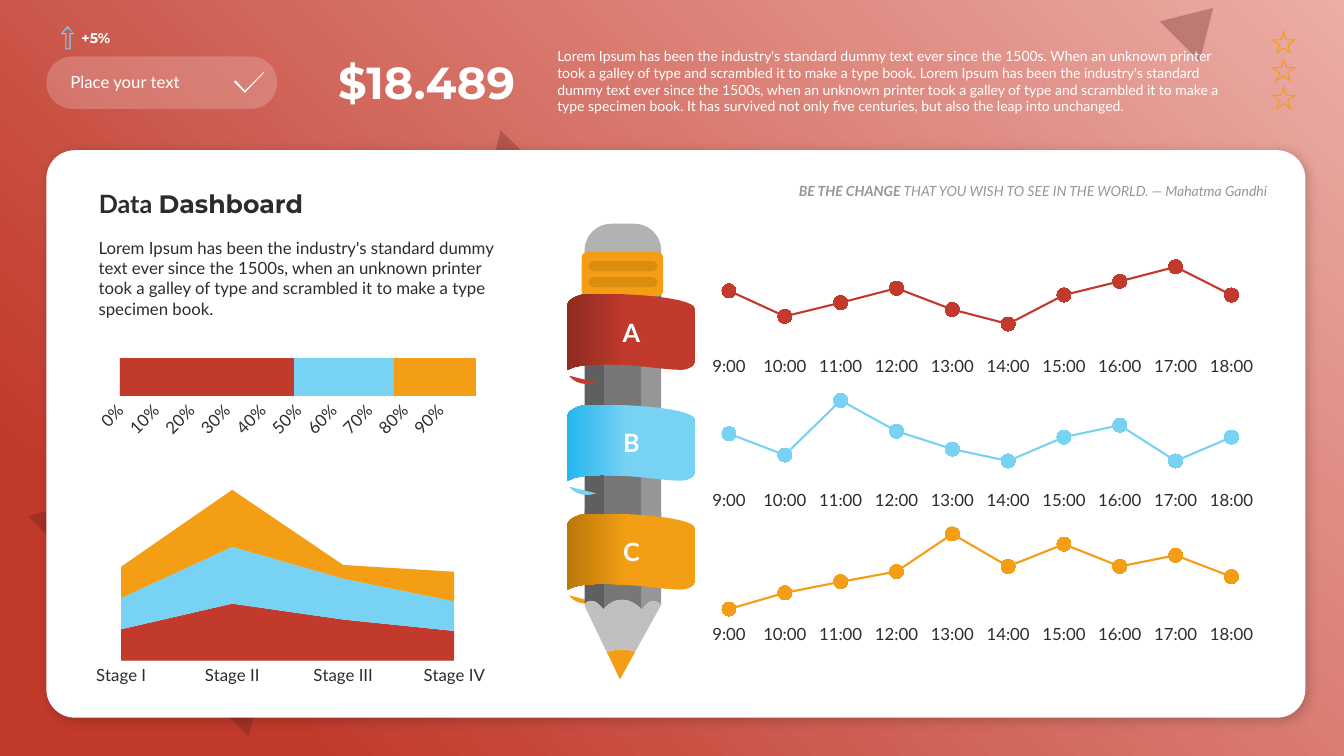
from dataclasses import dataclass
from math import cos, pi, sin
from lxml.etree import SubElement
from pptx import Presentation
from pptx.chart.data import CategoryChartData
from pptx.dml.color import RGBColor
from pptx.enum.chart import XL_CHART_TYPE as CT, XL_MARKER_STYLE as MARKER, XL_TICK_MARK as TICK
from pptx.enum.shapes import MSO_SHAPE as SHAPE
from pptx.enum.text import MSO_ANCHOR as ANCHOR, MSO_AUTO_SIZE as AUTO, PP_ALIGN as ALIGN
from pptx.oxml.ns import qn
from pptx.util import Emu, Pt

COLS, ROWS, CELL = 160, 90, 76200
C = {"red": "C13A2C", "blue": "78D2F4", "orange": "F39E14", "white": "FFFFFF", "black": "000000",
     "ink": "2C2C2C", "blush": "EBADA6", "maroon": "601D16", "brick": "912B21", "azure": "24B6ED",
     "ocean": "0E7EA8", "ochre": "BC780A", "brown": "7D5006", "light": "DFDFDF", "tip": "C0C0C0",
     "eraser": "B2B2B2", "grey": "969696", "mid": "777777", "dark": "5F5F5F"}
TRIO = ("red", "blue", "orange")
RECT, ROUND, TRIANGLE = SHAPE.RECTANGLE, SHAPE.ROUNDED_RECTANGLE, SHAPE.ISOSCELES_TRIANGLE
LOREM = "Lorem Ipsum has been the industry's standard dummy text ever since the 1500s"
GALLEY = "an unknown printer took a galley of type and scrambled it to make a type"
CHECK = [(31.44, 8.52), (29.16, 10.8), (28.08, 9.6), (27.84, 9.72), (29.16, 11.04), (31.44, 8.64)]
ARROW = [(8.04, 3.12), (8.88, 4.08), (8.4, 4.08), (8.4, 5.88), (7.8, 5.88), (7.8, 4.08), (7.2, 4.08)]
ARROW_HOLE = [(8.04, 3.36), (8.76, 3.96), (8.28, 3.96), (8.28, 5.76), (7.92, 5.76), (7.92, 3.96), (7.44, 3.96)]
BAND = [(15.24, 1.8), (15.36, 0.48, 8.04, -0.24, 2.04, 0), (1.08, 0.12, 0, 0.72, 0, 1.32), (0, 9),
        (2.64, 7.44, 10.92, 9, 13.44, 9), (14.4, 9, 15.24, 8.52, 15.24, 7.92)]
PENCIL = {
    "orange": [(75.6, 77.64), (73.8, 80.88), (72.24, 77.64), (72.36, 77.64, 74.04, 76.92, 75.6, 77.64)],
    "grey": [(76.44, 72.6), (76.32, 72.48), (76.32, 60.84), (78.72, 60.84), (78.72, 72),
             (78.72, 72, 77.52, 70.68, 76.44, 72.6)],
    "mid": [(74.04, 71.4), (72.84, 71.4, 72.12, 72.24, 71.88, 72.48), (71.88, 60.84), (76.32, 60.84),
            (76.32, 72.48), (76.08, 72.24, 75.24, 71.4, 74.04, 71.4)],
    "dark": [(71.88, 72.6), (71.88, 72.6, 71.16, 71.52, 70.44, 71.52), (69.96, 71.52, 69.72, 71.76, 69.6, 71.88),
             (69.6, 60.84), (71.88, 60.84)],
    "tip": [(70.44, 71.52), (71.16, 71.52, 71.88, 72.6, 71.88, 72.6), (71.88, 72.48),
            (72.12, 72.24, 72.84, 71.4, 74.04, 71.4), (75.24, 71.4, 76.08, 72.24, 76.32, 72.48), (76.44, 72.6),
            (77.52, 70.68, 78.72, 72, 78.72, 72), (75.6, 77.64), (74.04, 76.92, 72.36, 77.64, 72.24, 77.64),
            (69.6, 72.12), (69.6, 71.88), (69.72, 71.76, 69.96, 71.52, 70.44, 71.52)]}

@dataclass
class Preset:
    kind: SHAPE
    box: tuple
    color: str
    alpha: int = 100
    adj: tuple = ()
    turn: float = 0

@dataclass
class Run:
    text: str
    size: float
    color: str = "white"
    font: str = "Lato"
    bold: bool = False
    italic: bool = False

@dataclass
class Ribbon:
    letter: str
    row: float
    color: str
    shade: str
    curl_shade: str

def rgb(name: str) -> RGBColor:
    return RGBColor.from_string(C[name])

def emu(box: tuple) -> list:
    return [Emu(round(v * CELL)) for v in box]

def paint(sp, color: str):
    sp.shadow.inherit = False
    sp.line.fill.background()
    sp.fill.solid()
    sp.fill.fore_color.rgb = rgb(color)
    return sp

def draw(s, d: Preset):
    sp = paint(s.shapes.add_shape(d.kind, *emu(d.box)), d.color)
    if d.alpha < 100:
        SubElement(sp.element.spPr.find(f".//{qn('a:srgbClr')}"), qn("a:alpha"), {"val": str(d.alpha * 1000)})
    for i, value in enumerate(d.adj):
        sp.adjustments[i] = value
    sp.rotation = d.turn
    return sp

def blend(sp, stops: list, angle: float = 0) -> None:
    sp.fill.gradient()
    sp.fill.gradient_angle = angle
    for stop, (position, color) in zip(sp.fill.gradient_stops, stops):
        stop.position, stop.color.rgb = position, rgb(color)

def flatten(steps: list, dx: float, dy: float) -> list:
    pts = []
    for step in steps:
        p = [pts[-1], step[:2], step[2:4], step[4:]] if len(step) > 2 else [step] * 4
        for t in (i / 12 for i in range(1, 13)) if len(step) > 2 else (1,):
            w = ((1 - t) ** 3, 3 * t * (1 - t) ** 2, 3 * t * t * (1 - t), t ** 3)
            pts.append(tuple(sum(k * q[a] for k, q in zip(w, p)) for a in (0, 1)))
    return [((x + dx) * CELL, (y + dy) * CELL) for x, y in pts]

def outline(s, color: str, *contours: list, dx: float = 0, dy: float = 0):
    first, *holes = [flatten(c, dx, dy) for c in contours]
    fb = s.shapes.build_freeform(*first[0])
    fb.add_line_segments(first[1:], close=True)
    for hole in holes:
        fb.move_to(*hole[0])
        fb.add_line_segments(hole[1:], close=True)
    return paint(fb.convert_to_shape(), color)

def write(tf, runs: list, align=ALIGN.LEFT, anchor=ANCHOR.MIDDLE, side: float = 1.2, after: float = 0) -> None:
    tf.word_wrap, tf.auto_size, tf.vertical_anchor = True, AUTO.NONE, anchor
    tf.margin_left = tf.margin_right = round(side * CELL)
    p = tf.paragraphs[0]
    p.alignment, p.space_after = align, Pt(after)
    for run in runs:
        r = p.add_run()
        r.text, r.font.size, r.font.name = run.text, Pt(run.size), run.font
        r.font.bold, r.font.italic, r.font.color.rgb = run.bold, run.italic, rgb(run.color)

def label(s, box: tuple, *runs: Run, **style) -> None:
    write(s.shapes.add_textbox(*emu(box)).text_frame, runs, **style)

def plot(s, kind: CT, box: tuple, layout: tuple, cats: list, series: list, top: float):
    data = CategoryChartData()
    data.categories = cats
    for i, (_, values) in enumerate(series, 1):
        data.add_series(f"Series {i}", values)
    chart = s.shapes.add_chart(kind, *emu(box), data).chart
    chart.has_legend = chart.has_title = chart.plots[0].vary_by_categories = False
    chart.font.size, chart.font.name, chart.font.color.rgb = Pt(12), "Lato", rgb("ink")
    ca, va = chart.category_axis, chart.value_axis
    ca.major_tick_mark = va.major_tick_mark = TICK.NONE
    ca.format.line.fill.background()
    va.visible = va.has_major_gridlines = False
    va.minimum_scale, va.maximum_scale = 0, top
    for ser, (color, _) in zip(chart.plots[0].series, series):
        target = ser
        if kind == CT.LINE_MARKERS:
            ser.smooth, target = False, ser.marker
            ser.format.line.color.rgb, ser.format.line.width = rgb(color), Pt(1.5)
            ser.marker.style, ser.marker.size = MARKER.CIRCLE, 10
            ser.marker.format.line.color.rgb = rgb(color)
        target.format.fill.solid()
        target.format.fill.fore_color.rgb = rgb(color)
    area = chart.element.find(f".//{qn('c:plotArea')}")
    for old in area.findall(qn("c:layout")):
        area.remove(old)
    area.insert(0, SubElement(area, qn("c:layout")))
    manual = SubElement(area[0], qn("c:manualLayout"))
    for tag, val in zip(("layoutTarget", "xMode", "yMode", "x", "y", "w", "h"), ("inner", "edge", "edge", *layout)):
        SubElement(manual, qn(f"c:{tag}"), {"val": str(val)})
    return chart

def curl(s, d: Ribbon) -> None:
    sp = draw(s, Preset(SHAPE.CHORD, (67.56, d.row + 7.32, 4.68, 3.36), d.color, adj=(32.77, 97.2)))
    blend(sp, [(0.27, d.color), (0.69, d.curl_shade)], 70)

def band(s, d: Ribbon) -> None:
    sp = outline(s, d.color, BAND, dx=67.56, dy=d.row)
    blend(sp, [(0.53, d.color), (1, d.shade)], 180)
    write(sp.text_frame, [Run(d.letter, 18, bold=True)], ALIGN.CENTER)

def pencil(s) -> None:
    for color, steps in PENCIL.items():
        outline(s, color, steps)
    for col, cols, color in ((76.32, 2.4, "grey"), (71.88, 4.44, "mid"), (69.6, 2.28, "dark")):
        draw(s, Preset(RECT, (col, 34.68, cols, 27.36), color))
    draw(s, Preset(RECT, (69.6, 34.2, 9.12, 1.68), "black", 20))
    draw(s, Preset(ROUND, (69.6, 26.64, 9.12, 6.36), "eraser", adj=(0.5,)))
    draw(s, Preset(ROUND, (69.24, 30, 9.72, 5.28), "orange", adj=(0.13,)))
    for row in (31.08, 33):
        draw(s, Preset(ROUND, (70.08, row, 8.16, 1.2), "black", 10, (0.5,)))

def header(s) -> None:
    sp = draw(s, Preset(RECT, (0, 0, COLS, ROWS), "red"))
    blend(sp, [(0, "blush"), (0.85, "red")])
    grad = sp.element.spPr.find(qn("a:gradFill"))
    grad.remove(grad.find(qn("a:lin")))
    SubElement(SubElement(grad, qn("a:path"), {"path": "circle"}), qn("a:fillToRect"), {"l": "100000", "b": "100000"})
    for turn, *box in ((45, 8.76, 48.24, 37.2, 30.84), (225, 54.84, 18, 10.8, 9), (45, 139.08, 0.12, 6.72, 5.64)):
        draw(s, Preset(TRIANGLE, box, "maroon", 30, turn=turn))
    draw(s, Preset(ROUND, (5.52, 6.72, 27.48, 6.24), "white", 20, (0.5,)))
    outline(s, "white", CHECK)
    label(s, (7.2, 7.92, 22.56, 3.6), Run("Place your text", 12))
    label(s, (38.28, 5.88, 24.24, 7.68), Run("$18.489", 32, font="Montserrat", bold=True), align=ALIGN.RIGHT)
    label(s, (65.16, 5.04, 83.76, 9.24), Run(
        f"{LOREM}. When {GALLEY} book. {LOREM}, when {GALLEY} specimen book. "
        "It has survived not only five centuries, but also the leap into unchanged.", 10), after=6)
    label(s, (8.88, 2.88, 5.04, 3.24), Run("+5%", 10, font="Montserrat", bold=True), align=ALIGN.CENTER, side=0)
    outline(s, "blue", ARROW, ARROW_HOLE)
    rings = [[(r * (1, 0.38)[i % 2] * sin(i * pi / 5), -r * (1, 0.38)[i % 2] * cos(i * pi / 5)) for i in range(10)]
             for r in (1.59, 1.2)]
    for i in range(3):
        outline(s, "orange", *rings, dx=152.82, dy=5.19 + 3.3 * i)

def card(s) -> None:
    sp = draw(s, Preset(ROUND, (5.52, 17.88, 149.88, 67.56), "white", adj=(0.05,)))
    shadow = SubElement(sp.element.spPr.find(qn("a:effectLst")), qn("a:outerShdw"),
                        {"blurRad": str(Pt(8)), "dist": str(Pt(3)), "dir": "2700000", "algn": "tl"})
    SubElement(SubElement(shadow, qn("a:srgbClr"), {"val": C["black"]}), qn("a:alpha"), {"val": "20000"})
    title = s.shapes.title
    title.element.getparent().append(title.element)
    title.left, title.top, title.width, title.height = emu((10.56, 21.84, 51.96, 4.8))
    write(title.text_frame, [Run("Data ", 18, "ink", bold=True), Run("Dashboard", 18, "ink", "Montserrat", True)],
          anchor=ANCHOR.BOTTOM)
    label(s, (10.56, 27.72, 51.96, 10.92), Run(f"{LOREM}, when {GALLEY} specimen book.", 12, "ink"), anchor=ANCHOR.TOP)
    label(s, (67.2, 21.12, 84.12, 3.24), Run("BE THE CHANGE ", 10, "grey", bold=True, italic=True),
          Run("THAT YOU WISH TO SEE IN THE WORLD. ― Mahatma Gandhi", 10, "grey", italic=True),
          align=ALIGN.RIGHT, side=0.5)

def charts(s) -> None:
    stages = [(55, 100, 72, 52), (55, 100, 72, 52), (55, 100, 24, 52)]
    area = plot(s, CT.AREA_STACKED, (10.56, 55.68, 48.36, 26.4), (0.08, 0.1, 0.82, 0.77),
                [f"Stage {n}" for n in ("I", "II", "III", "IV")], list(zip(TRIO, stages)), 300)
    line = area.category_axis.format.line
    line.color.rgb, line.width = rgb("light"), Pt(0.75)
    area.element.find(f".//{qn('c:crossBetween')}").set("val", "midCat")
    bar = plot(s, CT.BAR_STACKED_100, (10.44, 42.36, 48.12, 10.68), (0.08, 0.03, 0.88, 0.42),
               ["1"], list(zip(TRIO, [(49,), (28,), (23,)])), 1)
    bar.plots[0].gap_width, bar.plots[0].overlap = 0, 100
    bar.category_axis.visible, va = False, bar.value_axis
    va.visible = va.has_major_gridlines = True
    va.major_gridlines.format.line.color.rgb, va.major_gridlines.format.line.width = rgb("light"), Pt(0.75)
    va.format.line.fill.background()
    va.major_unit, va.tick_labels.font.size = 0.1, Pt(12)
    va.tick_labels.number_format, va.tick_labels.number_format_is_linked = "0%", False
    bar.element.find(f".//{qn('c:valAx')}/{qn('c:txPr')}/{qn('a:bodyPr')}").set("rot", "-2700000")
    hours = [(72, 42, 58, 75, 50, 33, 67, 83, 100, 67), (61, 36, 100, 64, 43, 29, 57, 71, 29, 57),
             (12, 31, 44, 56, 100, 62, 88, 62, 75, 50)]
    for i, pair in enumerate(zip(TRIO, hours)):
        plot(s, CT.LINE_MARKERS, (82.08, 30 + 15.9 * i, 69.24, 15.12), (0.02, 0.05, 0.96, 0.74),
             [f"{h}:00" for h in range(9, 19)], [pair], 110)

def main() -> None:
    prs = Presentation()
    prs.slide_width, prs.slide_height = emu((COLS, ROWS))
    s = prs.slides.add_slide(prs.slide_layouts[5])
    header(s)
    card(s)
    last, *others = [Ribbon("C", 61.2, "orange", "ochre", "brown"), Ribbon("B", 48.24, "blue", "azure", "ocean"),
                     Ribbon("A", 35.04, "red", "brick", "maroon")]
    curl(s, last)
    pencil(s)
    band(s, last)
    for ribbon in others:
        curl(s, ribbon)
        band(s, ribbon)
    charts(s)
    prs.save("out.pptx")

if __name__ == "__main__":
    main()
